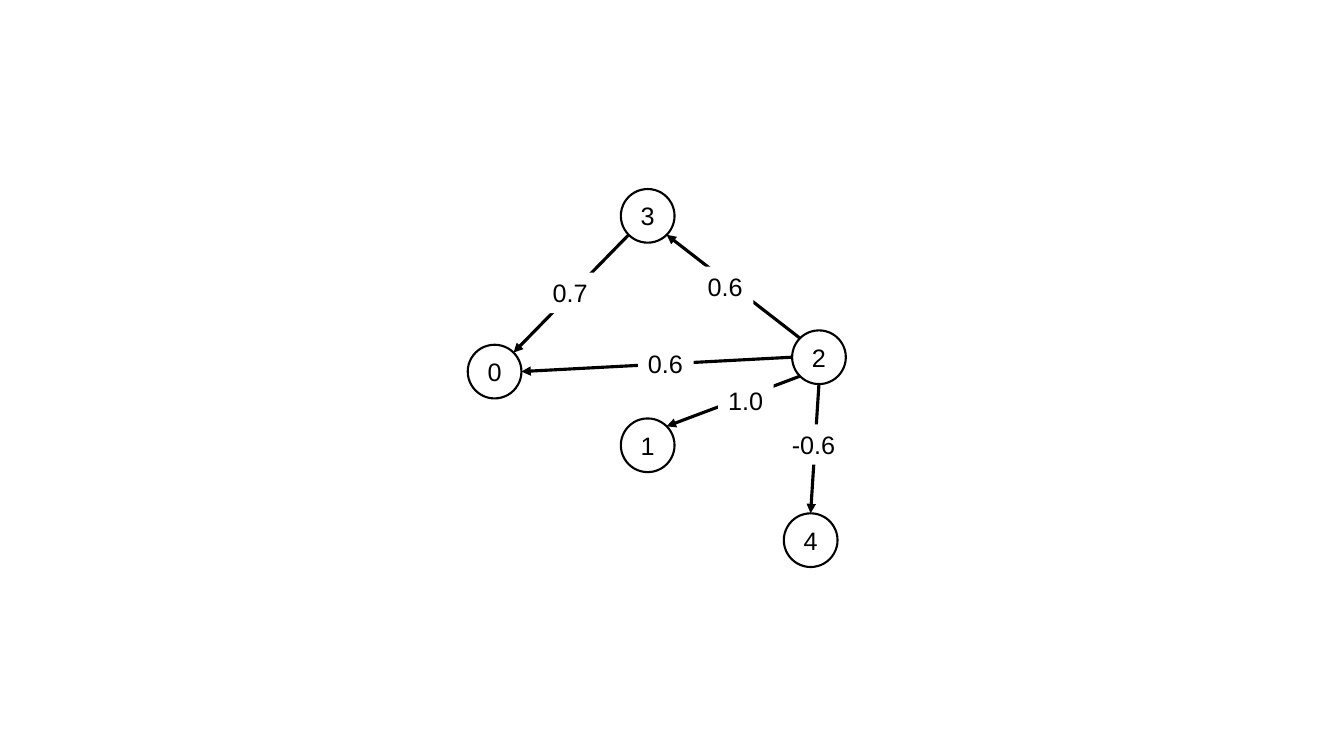
from collections import namedtuple
from math import cos, radians, sin

from lxml import etree
from pptx import Presentation
from pptx.dml.color import RGBColor
from pptx.enum.shapes import MSO_CONNECTOR, MSO_SHAPE
from pptx.enum.text import MSO_ANCHOR, MSO_AUTO_SIZE, PP_ALIGN
from pptx.oxml.ns import qn
from pptx.util import Inches, Pt

OVAL = MSO_SHAPE.OVAL
STRAIGHT = MSO_CONNECTOR.STRAIGHT
CENTER = PP_ALIGN.CENTER
MIDDLE = MSO_ANCHOR.MIDDLE
GROW = MSO_AUTO_SIZE.SHAPE_TO_FIT_TEXT

BLACK, WHITE = "000000", "FFFFFF"
FONT, FONT_SIZE = "Arial", 18
TOP, TOP_LEFT, LEFT, BOTTOM_LEFT, BOTTOM, BOTTOM_RIGHT, RIGHT, TOP_RIGHT = range(8)

Box = namedtuple("Box", "left top side")
Edge = namedtuple("Edge", "start start_site end end_site weight label_center label_width")

GRID = 100
NODE_SIZE = 14.2
LABEL_HEIGHT = 10.7
NODES = {
    "0": (7.1, 48.3),
    "3": (47.6, 7.1),
    "2": (92.9, 44.5),
    "1": (47.6, 67.8),
    "4": (90.7, 92.9),
}
EDGES = [
    Edge("3", BOTTOM_LEFT, "0", TOP_RIGHT, "0.7", (27.2, 27.5), 14.7),
    Edge("2", TOP_LEFT, "3", BOTTOM_RIGHT, "0.6", (68.2, 25.9), 14.7),
    Edge("2", LEFT, "0", RIGHT, "0.6", (52.4, 46.3), 14.7),
    Edge("2", BOTTOM_LEFT, "1", TOP_RIGHT, "1.0", (73.6, 55.9), 14.7),
    Edge("2", BOTTOM, "4", TOP, "-0.6", (91.7, 67.6), 17.2),
]


def color(value):
    """Turn a hex string into a colour."""
    return RGBColor.from_string(value)


def place(box, center, width, height):
    """Return the left, top, width and height of a part centred on the box's grid."""
    unit = box.side / GRID
    column, row = center
    return (int(box.left + (column - width / 2) * unit),
            int(box.top + (row - height / 2) * unit),
            int(width * unit), int(height * unit))


def write(shape, text):
    """Write one line of black text into a white shape."""
    shape.fill.solid()
    shape.fill.fore_color.rgb = color(WHITE)
    para = shape.text_frame.paragraphs[0]
    para.text = text
    para.font.name = FONT
    para.font.size = Pt(FONT_SIZE)
    para.font.color.rgb = color(BLACK)
    return para


def add_node(page, box, name, center):
    """Draw one numbered circle."""
    node = page.shapes.add_shape(OVAL, *place(box, center, NODE_SIZE, NODE_SIZE))
    node.shadow.inherit = False
    node.line.color.rgb = color(BLACK)
    node.line.width = Pt(1.5)
    node.text_frame.vertical_anchor = MIDDLE
    write(node, name).alignment = CENTER
    return node


def site_point(node, site):
    """Return the point of a connection site, counted anticlockwise from the top."""
    angle = radians(90 + 45 * site)
    radius = node.width / 2
    return (int(node.left + radius * (1 + cos(angle))),
            int(node.top + radius * (1 - sin(angle))))


def add_arrow(page, start, start_site, end, end_site):
    """Draw an arrow attached to a site on each of two nodes."""
    arrow = page.shapes.add_connector(
        STRAIGHT, *site_point(start, start_site), *site_point(end, end_site))
    arrow.line.color.rgb = color(BLACK)
    arrow.line.width = Pt(2.25)
    etree.SubElement(arrow.line._get_or_add_ln(), qn("a:tailEnd"), type="triangle")
    etree.SubElement(arrow.element.spPr, qn("a:effectLst"))
    links = arrow.element.nvCxnSpPr.cNvCxnSpPr
    for tag, node, site in (("a:stCxn", start, start_site), ("a:endCxn", end, end_site)):
        etree.SubElement(links, qn(tag), id=str(node.shape_id), idx=str(site))


def add_weight(page, box, edge):
    """Draw the weight that interrupts an arrow."""
    label = page.shapes.add_textbox(
        *place(box, edge.label_center, edge.label_width, LABEL_HEIGHT))
    label.text_frame.word_wrap = False
    label.text_frame.auto_size = GROW
    write(label, edge.weight)


def add_graph(page, box):
    """Draw the weighted directed graph inside a square box."""
    nodes = {name: add_node(page, box, name, center) for name, center in NODES.items()}
    for edge in EDGES:
        add_arrow(page, nodes[edge.start], edge.start_site, nodes[edge.end], edge.end_site)
        add_weight(page, box, edge)


def main():
    """Build and save the deck."""
    deck = Presentation()
    deck.slide_width, deck.slide_height = Inches(13.33), Inches(7.5)
    page = deck.slides.add_slide(deck.slide_layouts.get_by_name("Blank"))
    box = Box(deck.slide_width * 0.348, deck.slide_height * 0.25, deck.slide_height * 0.5)
    add_graph(page, box)
    deck.save("out.pptx")


main()
